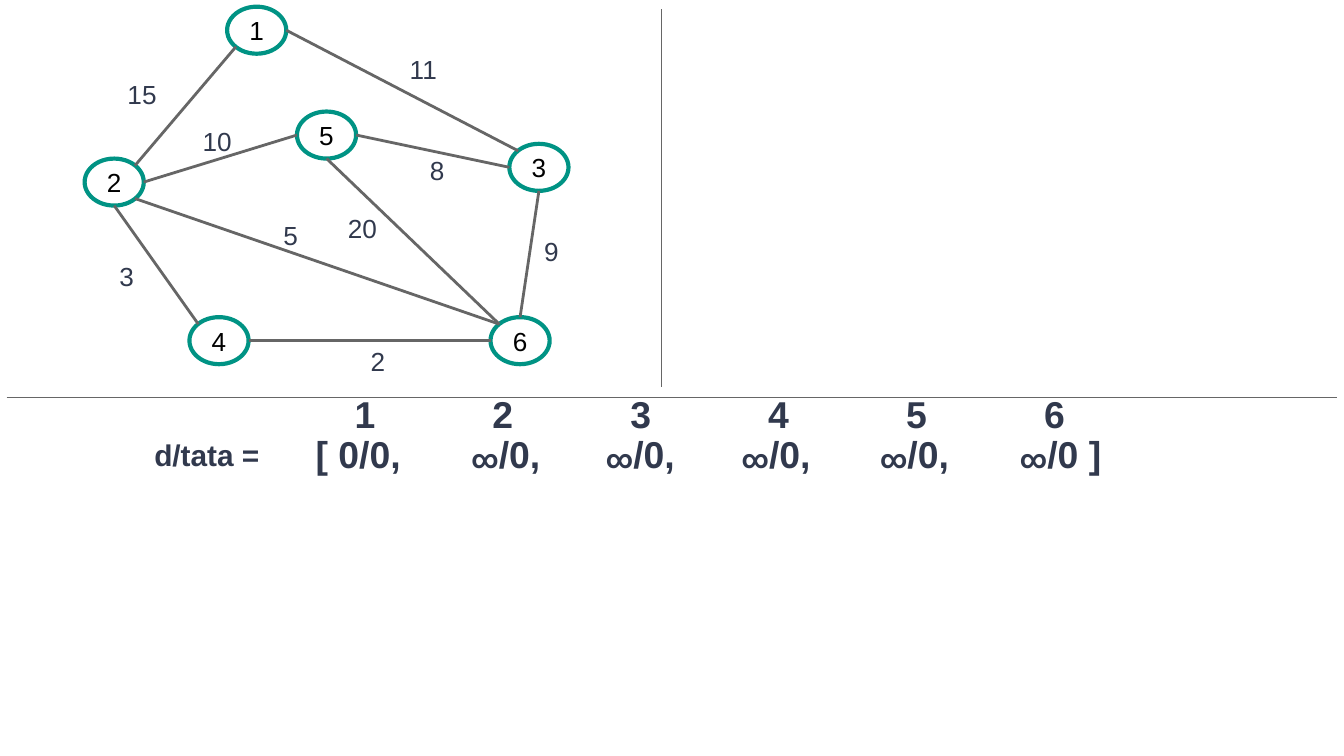
from lxml import etree
from pptx import Presentation
from pptx.dml.color import RGBColor
from pptx.enum.shapes import MSO_CONNECTOR, MSO_SHAPE
from pptx.enum.text import MSO_ANCHOR, MSO_AUTO_SIZE, PP_ALIGN
from pptx.oxml.ns import qn
from pptx.util import Inches, Pt

STRAIGHT = MSO_CONNECTOR.STRAIGHT
OVAL = MSO_SHAPE.OVAL
CENTER, LEFT = PP_ALIGN.CENTER, PP_ALIGN.LEFT
MIDDLE, TOP = MSO_ANCHOR.MIDDLE, MSO_ANCHOR.TOP
GROW = MSO_AUTO_SIZE.SHAPE_TO_FIT_TEXT

COLORS = {"ring": "009384", "line": "666666", "text": "31394D", "node": "000000"}
WIDTH = 10
HEIGHT = WIDTH * 9 / 16

# Graph: left and top of each node
NODES = {
    "1": (1.69, 0.05),
    "2": (0.63, 1.18),
    "5": (2.21, 0.83),
    "6": (3.65, 2.36),
    "4": (1.41, 2.36),
    "3": (3.79, 1.07),
}
NODE_SIZE = (0.44, 0.35)

# Points on a node's rim, as shares of its width and height
RIM = {
    "top": (0.5, 0),
    "bottom": (0.5, 1),
    "left": (0, 0.5),
    "right": (1, 0.5),
    "top left": (0.15, 0.15),
    "top right": (0.85, 0.15),
    "bottom left": (0.15, 0.85),
    "bottom right": (0.85, 0.85),
}

# Start node and side, end node and side, weight, left and top of the weight
EDGES = [
    ("1", "bottom left", "2", "top right", "15", (0.85, 0.48)),
    ("1", "right", "3", "top left", "11", (2.95, 0.3)),
    ("2", "right", "5", "left", "10", (1.41, 0.83)),
    ("5", "right", "3", "left", "8", (3.1, 1.05)),
    ("2", "bottom", "4", "top left", "3", (0.79, 1.84)),
    ("2", "bottom right", "6", "top left", "5", (2.01, 1.53)),
    ("4", "right", "6", "left", "2", (2.66, 2.47)),
    ("5", "bottom", "6", "top left", "20", (2.49, 1.48)),
    ("3", "bottom", "6", "top", "9", (3.95, 1.65)),
]
WEIGHT_SIZE = (0.52, 0.44)

DIVIDERS = [((0.05, 2.96), (9.95, 2.96)), ((4.92, 0.07), (4.92, 2.88))]

# Distance row: left of each value, infinity sign, remaining text
DISTANCES = [
    (2.25, "", "[ 0/0,"),
    (3.41, "∞", "/0,"),
    (4.41, "∞", "/0,"),
    (5.42, "∞", "/0,"),
    (6.45, "∞", "/0,"),
    (7.49, "∞", "/0 ]"),
]
HEADER_LEFT, HEADER_RIGHT, HEADER_TOP = 2.54, 7.67, 2.81
HEADER_STEP = (HEADER_RIGHT - HEADER_LEFT) / (len(DISTANCES) - 1)
HEADER_SIZE = (0.54, 0.54)
VALUE_TOP = 3.11
VALUE_SIZE = (0.84, 0.54)


def color(name):
    return RGBColor.from_string(COLORS[name])


def inches(*lengths):
    return [Inches(length) for length in lengths]


def write(shape, text, size=14, font="Arial", ink="text", bold=None,
          align=LEFT, anchor=TOP, inset=0.1, lead=""):
    """Fill a shape with one line; lead is a small Roboto sign before the text."""
    frame = shape.text_frame
    frame.word_wrap = True
    frame.vertical_anchor = anchor
    frame.margin_left = frame.margin_right = Inches(inset)
    frame.margin_top = frame.margin_bottom = Inches(inset)
    paragraph = frame.paragraphs[0]
    paragraph.alignment = align
    for content, points, face in ((lead, 14, "Roboto"), (text, size, font)):
        if content:
            run = paragraph.add_run()
            run.text = content
            run.font.size = Pt(points)
            run.font.name = face
            run.font.bold = bold
            run.font.color.rgb = color(ink)


def add_label(shapes, text, position, box_size, **text_format):
    box = shapes.add_textbox(*inches(*position, *box_size))
    write(box, text, **text_format)
    box.text_frame.auto_size = GROW


def add_line(shapes, start, end, points):
    line = shapes.add_connector(STRAIGHT, *inches(*start, *end))
    line.line.color.rgb = color("line")
    line.line.width = Pt(points)
    etree.SubElement(line._element.spPr, qn("a:effectLst"))


def add_node(shapes, name):
    node = shapes.add_shape(OVAL, *inches(*NODES[name], *NODE_SIZE))
    node.shadow.inherit = False
    node.fill.background()
    node.line.color.rgb = color("ring")
    node.line.width = Pt(2.25)
    write(node, name, ink="node", align=CENTER, anchor=MIDDLE, inset=0.02)


def rim_point(name, side):
    return [start + share * length
            for start, share, length in zip(NODES[name], RIM[side], NODE_SIZE)]


def add_graph(slide):
    shapes = slide.shapes.add_group_shape().shapes
    for name in NODES:
        add_node(shapes, name)
    for start, start_side, end, end_side, weight, position in EDGES:
        add_line(shapes, rim_point(start, start_side), rim_point(end, end_side), 1.5)
        add_label(shapes, weight, position, WEIGHT_SIZE)


def add_distances(slide):
    headers = slide.shapes.add_group_shape().shapes
    for column in range(len(DISTANCES)):
        position = (HEADER_LEFT + column * HEADER_STEP, HEADER_TOP)
        add_label(headers, str(column + 1), position, HEADER_SIZE, size=20, bold=True)
    add_label(slide.shapes, "d/tata =", (1.05, 3.15), (1.2, 0.47), size=16, bold=True)
    values = slide.shapes.add_group_shape().shapes
    for left, sign, text in DISTANCES:
        add_label(values, text, (left, VALUE_TOP), VALUE_SIZE,
                  size=20, bold=True, lead=sign)


def main():
    presentation = Presentation()
    presentation.slide_width, presentation.slide_height = inches(WIDTH, HEIGHT)
    slide = presentation.slides.add_slide(presentation.slide_layouts[6])
    add_graph(slide)
    for start, end in DIVIDERS:
        add_line(slide.shapes, start, end, 0.75)
    add_distances(slide)
    presentation.save("out.pptx")


if __name__ == "__main__":
    main()
